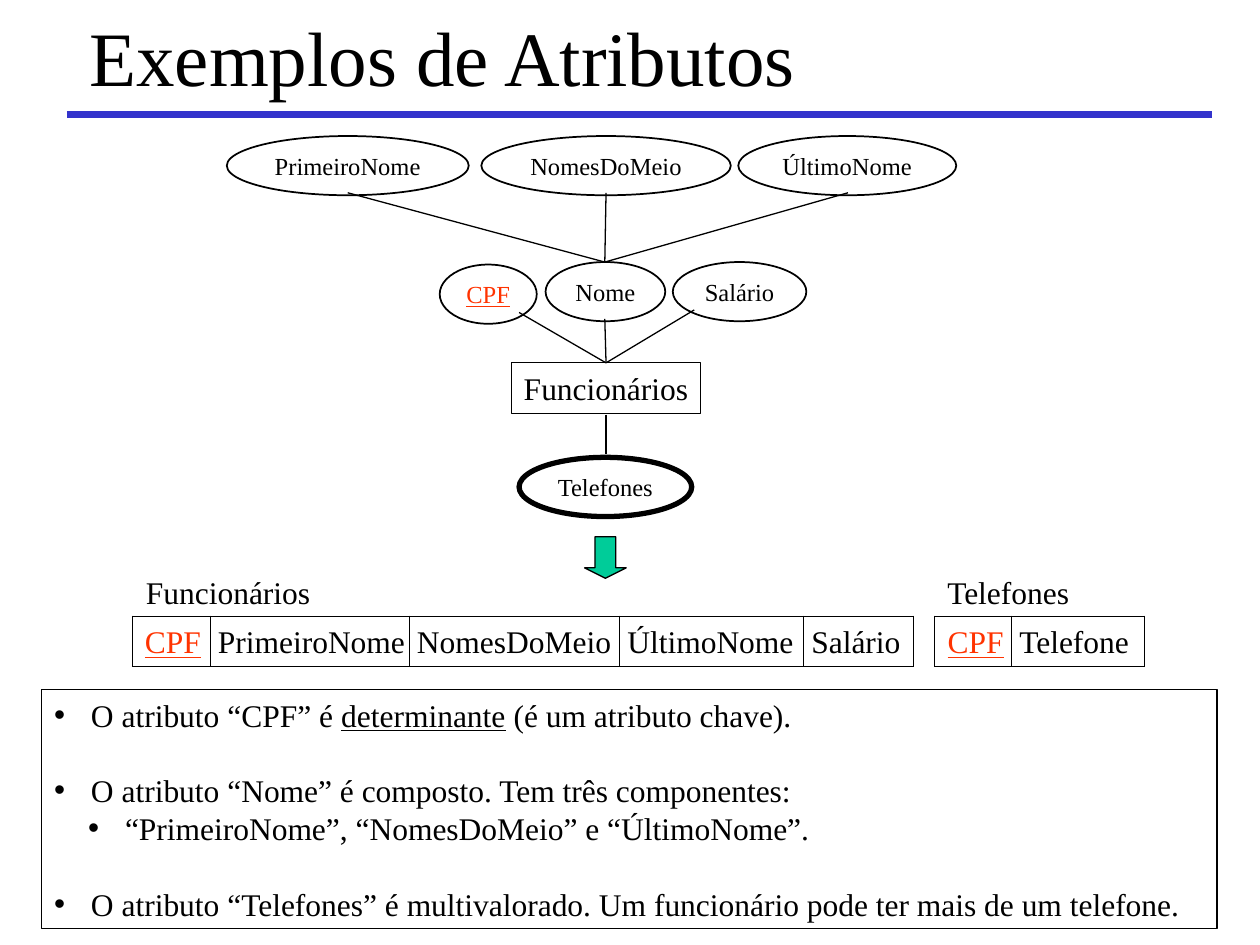
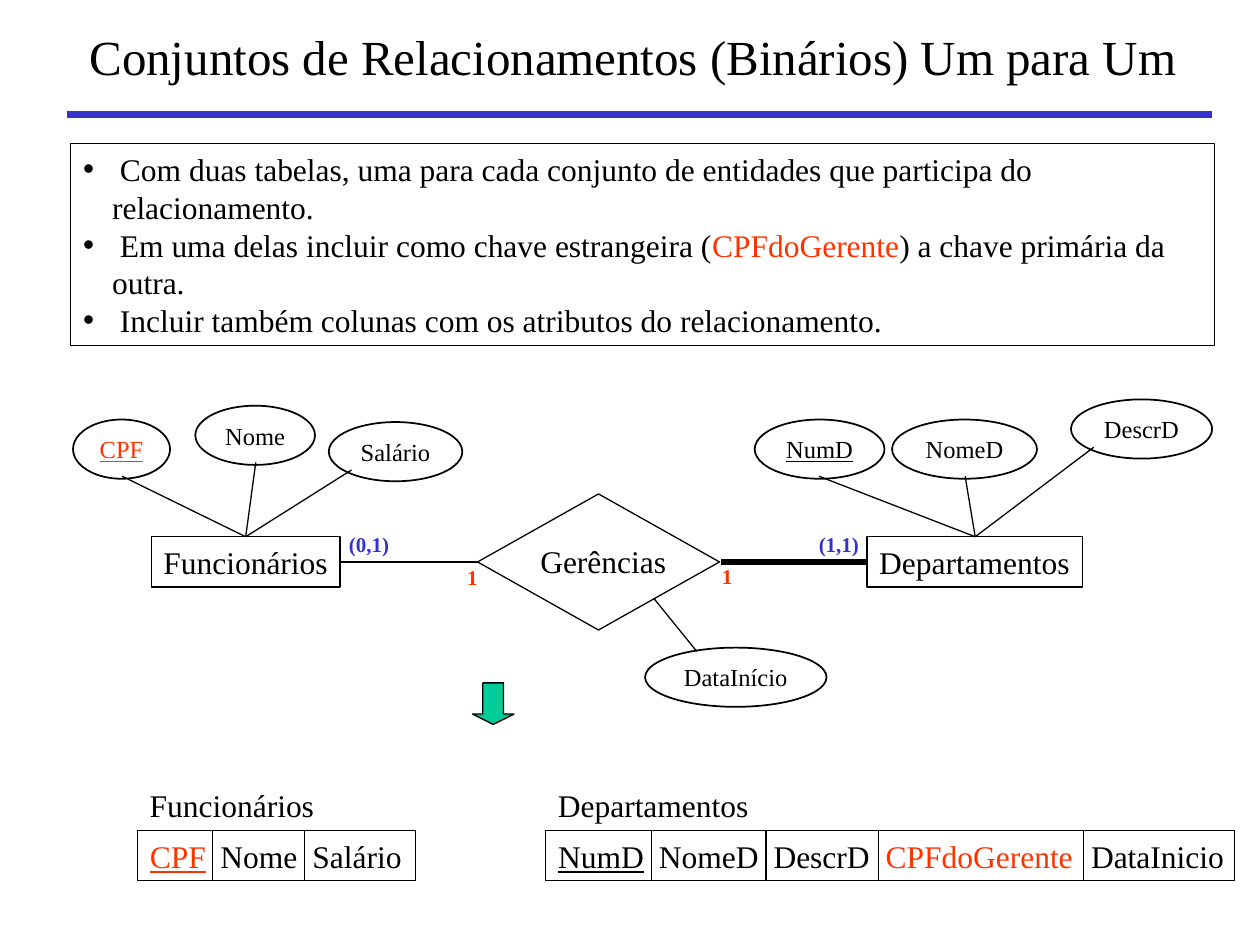
from itertools import pairwise

from lxml.etree import SubElement
from pptx import Presentation
from pptx.dml.color import RGBColor
from pptx.enum.shapes import MSO_CONNECTOR, MSO_SHAPE
from pptx.enum.text import MSO_ANCHOR, MSO_AUTO_SIZE, PP_ALIGN
from pptx.oxml.ns import qn
from pptx.util import Inches, Pt

FONT = "Times New Roman"
COLORS = {"ink": "000000", "key": "FF3300", "accent": "3333CC", "arrow": "00CC99"}
BULLET_INDENT = 0.23
LINE_HEIGHT = 21.6
ROW_HEIGHT = 0.4
OVAL_HEIGHT = 0.47

# Styled spans: (text, colour, underlined)
CPF = ("CPF", "key", True)
NUM_D = ("NumD", "ink", True)
FOREIGN_KEY = ("CPFdoGerente", "key", False)


def rgb(name):
    return RGBColor.from_string(COLORS[name])


def area(*lengths):
    return [Inches(length) for length in lengths]


def add_spans(para, spans, size, color="ink", bold=False):
    """Fill a paragraph with plain strings or (text, colour, underlined) spans."""
    for item in spans:
        text, span_color, underlined = (item, color, False) if isinstance(item, str) else item
        span = para.add_run()
        span.text = text
        span.font.name = FONT
        span.font.size = Pt(size)
        span.font.bold = bold
        span.font.underline = underlined
        span.font.color.rgb = rgb(span_color)


def add_line(page, start, end, width=0.75, color="ink"):
    line = page.shapes.add_connector(MSO_CONNECTOR.STRAIGHT, *area(*start, *end))
    line.line.width = Pt(width)
    line.line.color.rgb = rgb(color)
    SubElement(line._element.spPr, qn("a:effectLst"))


def add_fan(page, hub, tips):
    for tip in tips:
        add_line(page, hub, tip)


def add_figure(page, kind, box, text=None, size=18, width=0.75, fill=None):
    """Add an outlined preset shape with an optional centred label."""
    figure = page.shapes.add_shape(kind, *area(*box))
    figure.shadow.inherit = False
    figure.line.color.rgb = rgb("ink")
    figure.line.width = Pt(width)
    if fill:
        figure.fill.solid()
        figure.fill.fore_color.rgb = rgb(fill)
    else:
        figure.fill.background()
    if text:
        frame = figure.text_frame
        frame.word_wrap = False
        frame.vertical_anchor = MSO_ANCHOR.MIDDLE
        para = frame.paragraphs[0]
        para.alignment = PP_ALIGN.CENTER
        add_spans(para, [text], size)
    return figure


def add_entity(page, left, top, width, name):
    add_figure(page, MSO_SHAPE.RECTANGLE, (left, top, width, ROW_HEIGHT), name)


def add_attribute(page, left, top, width, name, line_width=1):
    add_figure(page, MSO_SHAPE.OVAL, (left, top, width, OVAL_HEIGHT), name, 14, line_width)


def add_down_arrow(page, left, top):
    arrow = add_figure(page, MSO_SHAPE.DOWN_ARROW, (left, top, 0.33, 0.33), fill="arrow")
    arrow.adjustments[1] = 0.25


def add_label(page, box, text, size=18, color="ink", bold=False):
    label = page.shapes.add_textbox(*area(*box))
    label.text_frame.word_wrap = False
    add_spans(label.text_frame.paragraphs[0], [text], size, color, bold)


def outline_cell(cell):
    properties = cell._tc.get_or_add_tcPr()
    for side in ("lnL", "lnR", "lnT", "lnB"):
        border = SubElement(properties, qn(f"a:{side}"), w=str(Pt(0.75)))
        paint = SubElement(border, qn("a:solidFill"))
        SubElement(paint, qn("a:srgbClr"), val=COLORS["ink"])
    cell.fill.background()


def add_relation(page, name, name_box, top, edges, columns):
    """Add a named relation: one row whose columns lie between the edges."""
    add_label(page, name_box, name)
    width = edges[-1] - edges[0]
    frame = page.shapes.add_table(1, len(columns), *area(edges[0], top, width, ROW_HEIGHT))
    table = frame.table
    table.first_row = table.horz_banding = False
    for index, (left, right) in enumerate(pairwise(edges)):
        table.columns[index].width = Inches(right - left)
        cell = table.cell(0, index)
        cell.margin_left = Inches(0.06 if index else 0.1)
        cell.margin_right = 0
        cell.margin_top = Inches(0.06)
        cell.margin_bottom = Inches(0.03)
        cell.vertical_anchor = MSO_ANCHOR.MIDDLE
        outline_cell(cell)
        add_spans(cell.text_frame.paragraphs[0], [columns[index]], 18)


def place(holder, box):
    holder.left, holder.top, holder.width, holder.height = area(*box)
    holder.text_frame.auto_size = MSO_AUTO_SIZE.NONE


def add_page(deck, title, size):
    """Add a page with its title and the blue rule below it."""
    page = deck.slides.add_slide(deck.slide_layouts[1])
    holder = page.shapes.title
    place(holder, (0.61, 0.11, 8.97, 0.67))
    holder.text_frame.vertical_anchor = MSO_ANCHOR.MIDDLE
    para = holder.text_frame.paragraphs[0]
    para.alignment = PP_ALIGN.LEFT
    add_spans(para, [title], size)
    add_line(page, (0.53, 0.91), (9.62, 0.91), 4, "accent")
    return page


def fill_body(page, box, items):
    """Fill the framed list; each item is (level, lines before, spans)."""
    body = page.placeholders[1]
    place(body, box)
    body.line.color.rgb = rgb("ink")
    body.line.width = Pt(0.75)
    frame = body.text_frame
    for index, (level, lines_before, spans) in enumerate(items):
        para = frame.add_paragraph() if index else frame.paragraphs[0]
        para.level = level
        para.line_spacing = Pt(LINE_HEIGHT)
        para.space_before = Pt(LINE_HEIGHT * lines_before)
        properties = para._p.get_or_add_pPr()
        properties.set("marL", str(Inches(0.5 if level else BULLET_INDENT)))
        properties.set("indent", str(-Inches(BULLET_INDENT)))
        SubElement(properties, qn("a:buChar"), char="•")
        add_spans(para, spans, 18)


def build_attributes_page(deck):
    page = add_page(deck, "Exemplos de Atributos", 44)
    fill_body(page, (0.33, 5.47, 9.33, 1.9), [
        (0, 0, [" O atributo “CPF” é ", ("determinante", "ink", True),
                " (é um atributo chave)."]),
        (0, 1, [" O atributo “Nome” é composto. Tem três componentes:"]),
        (1, 0, [" “PrimeiroNome”, “NomesDoMeio” e “ÚltimoNome”."]),
        (0, 1, [" O atributo “Telefones” é multivalorado. "
                "Um funcionário pode ter mais de um telefone."]),
    ])

    # Entity with its attributes
    add_entity(page, 4.06, 2.88, 1.5, "Funcionários")
    for left, top, width, name in [
        (1.8, 1.08, 1.92, "PrimeiroNome"),
        (3.82, 1.08, 1.98, "NomesDoMeio"),
        (5.86, 1.08, 1.73, "ÚltimoNome"),
        (3.49, 2.1, 0.77, CPF),
        (4.33, 2.08, 0.95, "Nome"),
        (5.34, 2.08, 1.06, "Salário"),
    ]:
        add_attribute(page, left, top, width, name)
    add_attribute(page, 4.12, 3.63, 1.37, "Telefones", 3)
    add_fan(page, (4.8, 2.08), [(2.76, 1.53), (4.81, 1.53), (6.73, 1.53)])
    add_fan(page, (4.81, 2.88), [(4.12, 2.48), (4.8, 2.53), (5.51, 2.46)])
    add_line(page, (4.81, 3.29), (4.81, 3.6))

    # Resulting relations
    add_down_arrow(page, 4.64, 4.26)
    add_relation(page, "Funcionários", (1.06, 4.5, 1.6, 0.4), 4.89,
                 [1.05, 1.67, 3.25, 4.92, 6.38, 7.25],
                 [CPF, "PrimeiroNome", "NomesDoMeio", "ÚltimoNome", "Salário"])
    add_relation(page, "Telefones", (7.42, 4.5, 1.3, 0.4), 4.89,
                 [7.42, 8.03, 9.08], [CPF, "Telefone"])


def build_relationships_page(deck):
    page = add_page(deck, "Conjuntos de Relacionamentos (Binários) Um para Um", 28)
    fill_body(page, (0.56, 1.14, 9.08, 1.6), [
        (0, 0, [" Com duas tabelas, uma para cada conjunto de entidades "
                "que participa do relacionamento."]),
        (0, 0, [" Em uma delas incluir como chave estrangeira (", FOREIGN_KEY,
                ") a chave primária da outra."]),
        (0, 0, [" Incluir também colunas com os atributos do relacionamento."]),
    ])

    # Entities, relationship and attributes
    add_entity(page, 1.2, 4.26, 1.5, "Funcionários")
    add_entity(page, 6.88, 4.26, 1.71, "Departamentos")
    add_figure(page, MSO_SHAPE.FLOWCHART_DECISION, (3.79, 3.92, 1.92, 1.08))
    add_label(page, (4.19, 4.25, 1.3, 0.4), "Gerências")
    for left, top, width, name in [
        (0.58, 3.33, 0.77, CPF),
        (1.55, 3.22, 0.95, "Nome"),
        (2.61, 3.35, 1.06, "Salário"),
        (5.99, 3.33, 1.03, NUM_D),
        (7.08, 3.33, 1.15, "NomeD"),
        (8.5, 3.17, 1.12, "DescrD"),
        (5.12, 5.14, 1.44, "DataInício"),
    ]:
        add_attribute(page, left, top, width, name)
    add_fan(page, (1.95, 4.26), [(0.97, 3.78), (2.03, 3.67), (2.79, 3.73)])
    add_fan(page, (7.74, 4.26), [(6.5, 3.78), (7.66, 3.78), (8.68, 3.55)])
    add_line(page, (5.19, 4.75), (5.53, 5.17))

    # Links and cardinalities
    add_line(page, (2.71, 4.46), (3.79, 4.46))
    add_line(page, (5.72, 4.46), (6.89, 4.46), 3)
    for left, top, width, text, color in [
        (2.67, 4.17, 0.52, "(0,1)", "accent"),
        (6.4, 4.17, 0.52, "(1,1)", "accent"),
        (3.61, 4.43, 0.28, "1", "key"),
        (5.63, 4.42, 0.28, "1", "key"),
    ]:
        add_label(page, (left, top, width, 0.3), text, 12, color, True)

    # Resulting relations
    add_down_arrow(page, 3.75, 5.42)
    add_relation(page, "Funcionários", (1.09, 6.19, 1.6, 0.4), 6.59,
                 [1.09, 1.69, 2.42, 3.3], [CPF, "Nome", "Salário"])
    add_relation(page, "Departamentos", (4.33, 6.19, 1.8, 0.4), 6.59,
                 [4.33, 5.17, 6.08, 6.97, 8.6, 9.8],
                 [NUM_D, "NomeD", "DescrD", FOREIGN_KEY, "DataInicio"])


def main():
    deck = Presentation()
    deck.slide_width, deck.slide_height = area(10, 7.5)
    build_attributes_page(deck)
    build_relationships_page(deck)
    deck.save("out.pptx")


if __name__ == "__main__":
    main()
